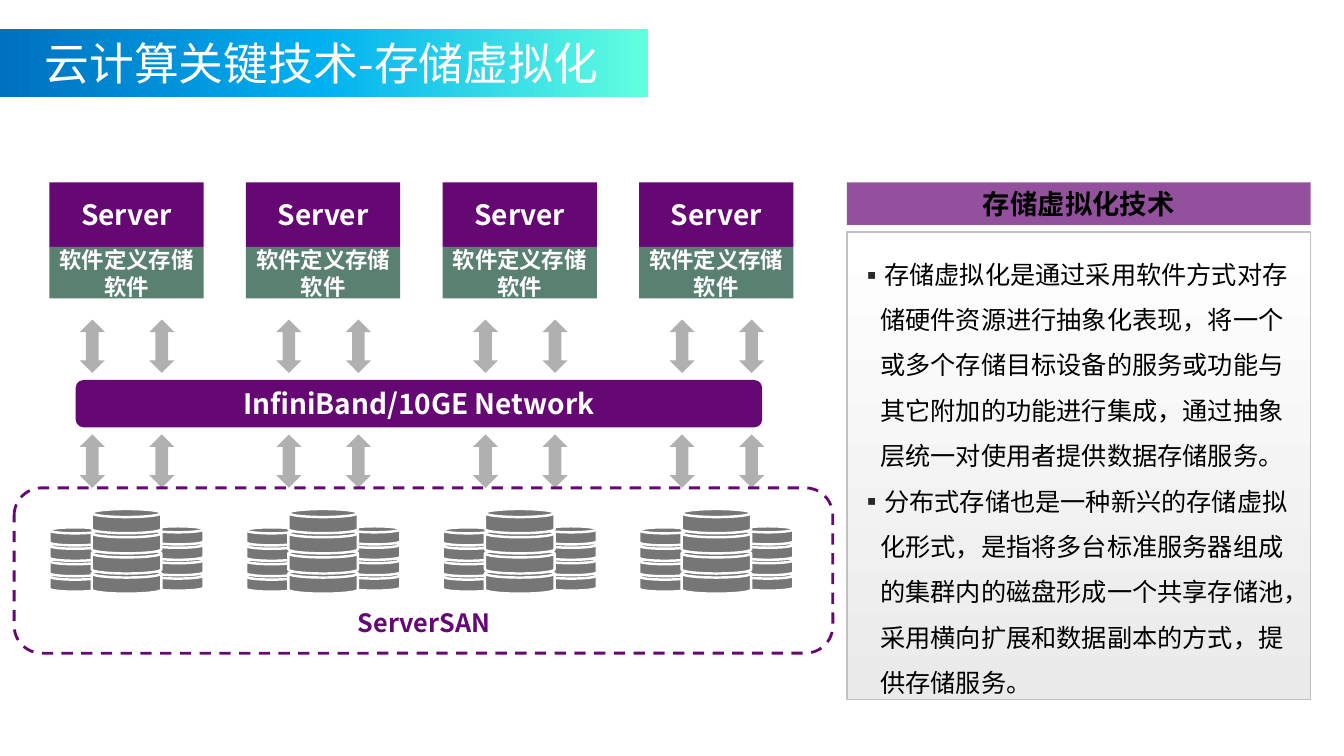
from dataclasses import dataclass

from lxml.etree import SubElement
from pptx import Presentation
from pptx.dml.color import RGBColor
from pptx.enum.dml import MSO_LINE
from pptx.enum.shapes import MSO_SHAPE as Kind
from pptx.enum.text import MSO_ANCHOR as Anchor, MSO_AUTO_SIZE as AutoSize, PP_ALIGN as Align
from pptx.oxml.ns import qn
from pptx.util import Inches, Pt

CELL = 0.1


@dataclass(frozen=True)
class Theme:
    font: str = "Noto Sans CJK SC"
    purple: str = "660874"
    green: str = "5A8071"
    disk: str = "767676"
    arrow: str = "B0B0B0"
    border: str = "C0C0C0"
    bullet: str = "292929"
    white: str = "FFFFFF"
    black: str = "000000"
    band: tuple = ((0, "0070C0"), (49, "00B0F0"), (100, "62FFDF"))
    panel: tuple = ((0, "FFFFFF"), (100, "EAEAEA"))
    title_size: float = 32
    heading_size: float = 19.5
    node_size: float = 20
    body_size: float = 18
    software_size: float = 16
    body_pitch: float = 32.4
    software_pitch: float = 19.2


THEME = Theme()


@dataclass(frozen=True)
class Box:
    left: float
    top: float
    width: float
    height: float

    def area(self, column, row, columns, rows):
        return Box(self.left + column, self.top + row, columns, rows)

    def lengths(self):
        return [Inches(cells * CELL) for cells in (self.left, self.top, self.width, self.height)]


def place(shape, box):
    shape.left, shape.top, shape.width, shape.height = box.lengths()


def color(code):
    return RGBColor.from_string(code)


def fill_gradient(shape, stops, angle):
    shape.fill.gradient()
    shape.fill.gradient_angle = angle
    stop_list = shape.element.spPr.find(".//" + qn("a:gsLst"))
    for stop in list(stop_list):
        stop_list.remove(stop)
    for position, code in stops:
        stop = SubElement(stop_list, qn("a:gs"), pos=str(position * 1000))
        SubElement(stop, qn("a:srgbClr"), val=code)


def draw_shape(page, kind, box, fill=None, line=None, weight=1):
    shape = page.shapes.add_shape(kind, *box.lengths())
    shape.shadow.inherit = False
    if fill:
        shape.fill.solid()
        shape.fill.fore_color.rgb = color(fill)
    else:
        shape.fill.background()
    if line:
        shape.line.color.rgb = color(line)
        shape.line.width = Pt(weight)
    else:
        shape.line.fill.background()
    return shape


def add_span(para, text, size, code, bold=False):
    span = para.add_run()
    span.text = text
    span.font.name = THEME.font
    span.font.size = Pt(size)
    span.font.bold = bold
    span.font.color.rgb = color(code)
    SubElement(span.font._element, qn("a:ea"), typeface=THEME.font)


def add_label(shape, text, size, code, pitch=None):
    frame = shape.text_frame
    frame.word_wrap = True
    frame.vertical_anchor = Anchor.MIDDLE
    frame.margin_left = frame.margin_right = Inches(0.05)
    para = frame.paragraphs[0]
    para.alignment = Align.CENTER
    if pitch:
        para.line_spacing = Pt(pitch)
    add_span(para, text, size, code, True)


def draw_title(page, box):
    title = page.shapes.title
    place(title, box.area(3.4, 0.1, 64.4, 6.4))
    band = draw_shape(page, Kind.RECTANGLE, box)
    fill_gradient(band, THEME.band, 0)
    title.element.addprevious(band.element)
    frame = title.text_frame
    frame.auto_size = AutoSize.NONE
    frame.vertical_anchor = Anchor.MIDDLE
    para = frame.paragraphs[0]
    para.alignment = Align.LEFT
    add_span(para, "云计算关键技术-存储虚拟化", THEME.title_size, THEME.white)


def draw_disks(page, box):
    stacks = ((0, 6.4, 5.1, 1.8, 1.53), (10.2, 6.3, 5.1, 1.8, 1.53), (4.2, 6, 6.9, 2.4, 2))
    for column, row, width, height, step in stacks:
        for level in range(4):
            disk = box.area(column, row - level * step, width, height)
            draw_shape(page, Kind.FLOWCHART_MAGNETIC_DISK, disk, THEME.disk, THEME.white, 1.75)


def draw_server(page, box):
    server = draw_shape(page, Kind.RECTANGLE, box.area(0, 0, box.width, 6.4), THEME.purple)
    add_label(server, "Server", THEME.node_size, THEME.white)
    software = draw_shape(page, Kind.RECTANGLE, box.area(0, 6.4, box.width, 5.1), THEME.green)
    add_label(software, "软件定义存储软件", THEME.software_size, THEME.white, THEME.software_pitch)
    for row in (13.6, 25):
        for column in (3, 9.9):
            draw_shape(page, Kind.UP_DOWN_ARROW, box.area(column, row, 2.5, 5.3), THEME.arrow)
    draw_disks(page, box.area(0, 32.4, box.width, 8.4))


def draw_cluster(page, box):
    for index in range(4):
        draw_server(page, box.area(3.5 + index * 19.5, 0, 15.3, 40.8))
    network = draw_shape(page, Kind.ROUNDED_RECTANGLE, box.area(6.1, 19.6, 68.1, 4.7), THEME.purple)
    add_label(network, "InfiniBand/10GE Network", THEME.node_size, THEME.white)
    pool = draw_shape(page, Kind.ROUNDED_RECTANGLE, box.area(0, 30.3, box.width, 16.4),
                      line=THEME.purple, weight=2)
    pool.line.dash_style = MSO_LINE.DASH
    caption = page.shapes.add_textbox(*box.area(31, 41.7, 19.3, 4).lengths())
    add_label(caption, "ServerSAN", THEME.body_size, THEME.purple)


def draw_explanation(page, box, points):
    heading = draw_shape(page, Kind.PENTAGON, box.area(0, 0, box.width, 4.2), THEME.purple)
    heading.adjustments[0] = 0
    SubElement(heading.element.spPr.find(".//" + qn("a:srgbClr")), qn("a:alpha"), val="70000")
    add_label(heading, "存储虚拟化技术", THEME.heading_size, THEME.black)

    body = page.placeholders[1]
    place(body, box.area(0, 4.9, box.width, box.height - 4.9))
    fill_gradient(body, THEME.panel, 270)
    body.line.color.rgb = color(THEME.border)
    body.line.width = Pt(1)
    frame = body.text_frame
    frame.auto_size = AutoSize.NONE
    frame.vertical_anchor = Anchor.TOP
    frame.margin_left = frame.margin_top = Inches(0.12)
    frame.margin_right, frame.margin_bottom = Inches(0.16), Inches(0.08)
    for index, point in enumerate(points):
        para = frame.add_paragraph() if index else frame.paragraphs[0]
        para.line_spacing = Pt(THEME.body_pitch)
        para.space_before = Pt(0)
        layout = para._p.get_or_add_pPr()
        layout.set("marL", str(Inches(0.21)))
        layout.set("indent", str(-Inches(0.21)))
        SubElement(SubElement(layout, qn("a:buClr")), qn("a:srgbClr"), val=THEME.bullet)
        SubElement(layout, qn("a:buFont"), typeface=THEME.font)
        SubElement(layout, qn("a:buChar"), char="▪")
        add_span(para, point, THEME.body_size, THEME.black)


def main():
    deck = Presentation()
    deck.slide_width, deck.slide_height = Inches(13.33), Inches(7.5)
    page = deck.slides.add_slide(deck.slide_layouts[1])
    draw_title(page, Box(0, 2.9, 64.3, 6.7))
    draw_cluster(page, Box(1.4, 18.1, 81.2, 46.7))
    draw_explanation(page, Box(84, 18.1, 46, 51.3), (
        "存储虚拟化是通过采用软件方式对存储硬件资源进行抽象化表现，将一个或多个存储目标设备的服务或功能与"
        "其它附加的功能进行集成，通过抽象层统一对使用者提供数据存储服务。",
        "分布式存储也是一种新兴的存储虚拟化形式，是指将多台标准服务器组成的集群内的磁盘形成一个共享存储池，"
        "采用横向扩展和数据副本的方式，提供存储服务。",
    ))
    deck.save("out.pptx")


if __name__ == "__main__":
    main()
